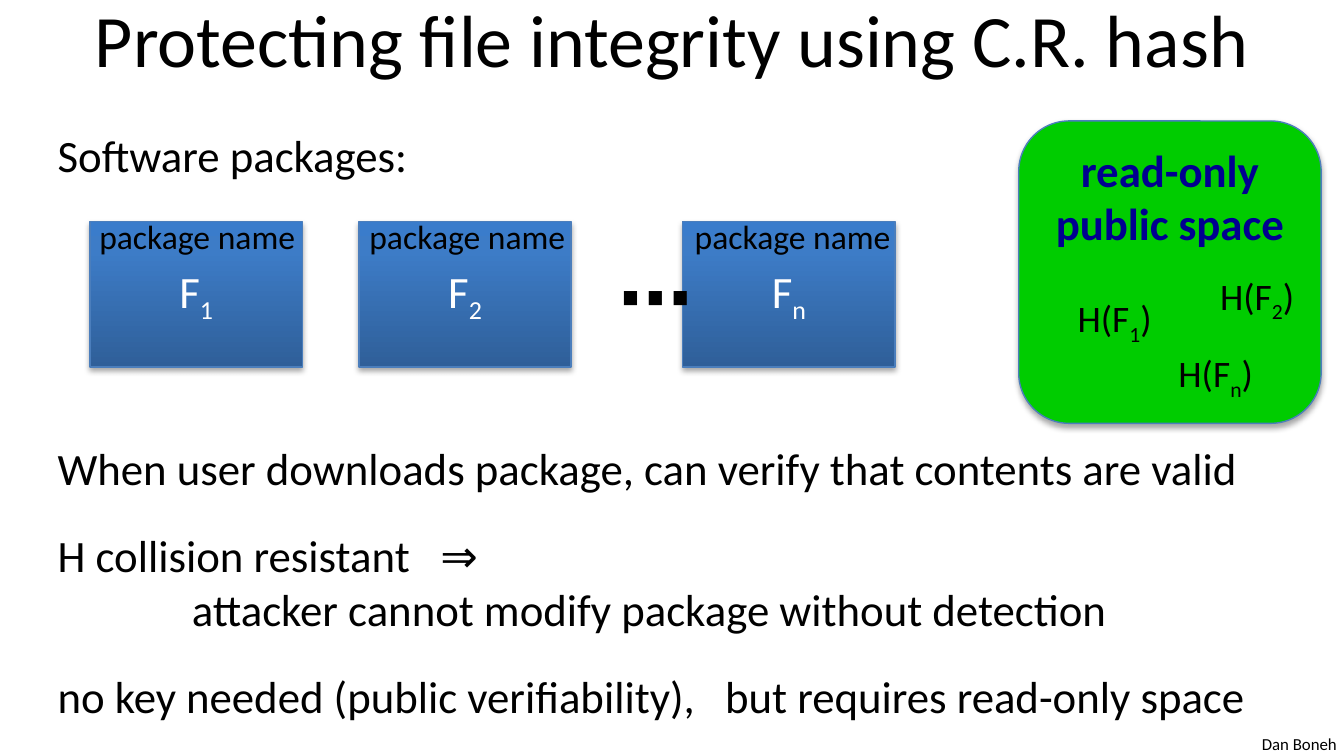
from lxml import etree
from pptx import Presentation
from pptx.dml import color
from pptx.enum import shapes, text
from pptx.oxml import ns
from pptx.util import Inches, Pt

FONT = "Calibri"
BLACK, WHITE, NAVY, GREEN, OUTLINE = "000000", "FFFFFF", "000090", "00CC00", "4B7EBC"
GRADIENT = [(0, "2F5F99"), (80, "3D7CC7"), (100, "3A7CCB")]


def rgb(value):
    return color.RGBColor.from_string(value)


def add_child(parent, tag, **attributes):
    child = etree.SubElement(parent, ns.qn(tag))
    for name, value in attributes.items():
        child.set(name, str(value))
    return child


def add_run(paragraph, content, size, ink, bold, subscript=False):
    if not content:
        return
    run = paragraph.add_run()
    run.text = content
    font = run.font
    font.name, font.size, font.bold = FONT, Pt(size), bold
    font.color.rgb = rgb(ink)
    if subscript:
        font._element.set("baseline", "-25000")


def write(paragraph, content, size=24, ink=BLACK, bold=False, align=None, before=0):
    paragraph.alignment = align
    paragraph.space_before = Pt(before)
    if "\t" in content:
        tabs = add_child(paragraph._p.get_or_add_pPr(), "a:tabLst")
        add_child(tabs, "a:tab", pos=Inches(1), algn="l")
    for number, line in enumerate(content.split("\n")):
        if number:
            paragraph.add_line_break()
        plain, *parts = line.split("_")
        add_run(paragraph, plain, size, ink, bold)
        for part in parts:
            add_run(paragraph, part[0], size, ink, bold, subscript=True)
            add_run(paragraph, part[1:], size, ink, bold)


def add_frame(parent, left, top, width, height):
    box = parent.add_textbox(Inches(left), Inches(top), Inches(width), Inches(height))
    box.text_frame.word_wrap = True
    return box.text_frame


def add_label(parent, content, left, top, width, height, **style):
    frame = add_frame(parent, left, top, width, height)
    frame.word_wrap = False
    frame.auto_size = text.MSO_AUTO_SIZE.SHAPE_TO_FIT_TEXT
    write(frame.paragraphs[0], content, **style)


def add_box(parent, kind, content, left, top, width, height, anchor, **style):
    shape = parent.add_shape(kind, Inches(left), Inches(top), Inches(width), Inches(height))
    shape.line.color.rgb = rgb(OUTLINE)
    shape.line.width = Pt(0.75)
    shape.shadow.inherit = False
    effects = shape._element.spPr.find(ns.qn("a:effectLst"))
    shadow = add_child(effects, "a:outerShdw", blurRad=Pt(3.1), dist=Pt(1.8),
                       dir=5400000, rotWithShape=0)
    add_child(add_child(shadow, "a:srgbClr", val=BLACK), "a:alpha", val=35000)
    shape.text_frame.vertical_anchor = anchor
    write(shape.text_frame.paragraphs[0], content, align=text.PP_ALIGN.CENTER, **style)
    return shape


def fill_gradient(shape):
    shape.fill.gradient()
    shape.fill.gradient_angle = 90
    stops = shape._element.spPr.find(ns.qn("a:gradFill")).find(ns.qn("a:gsLst"))
    for stop in list(stops):
        stops.remove(stop)
    for position, value in GRADIENT:
        add_child(add_child(stops, "a:gs", pos=position * 1000), "a:srgbClr", val=value)


def add_packages(parent):
    packages = [("F_1", 0.67, 0.64), ("F_2", 2.67, 2.65), ("F_n", 5.08, 5.07)]
    for name, left, _ in packages:
        fill_gradient(add_box(parent, shapes.MSO_SHAPE.RECTANGLE, name, left, 1.65, 1.58, 1.08,
                              text.MSO_ANCHOR.MIDDLE, ink=WHITE))
    add_label(parent, "⋯", 4.5, 1.81, 0.48, 0.77, size=40, bold=True)
    for _, _, label_left in packages:
        add_label(parent, "package name", label_left, 1.56, 1.68, 0.4, size=18)


def add_public_space(parent):
    group = parent.add_group_shape().shapes
    space = add_box(group, shapes.MSO_SHAPE.ROUNDED_RECTANGLE, "read-only\npublic space",
                    7.58, 0.9, 2.25, 2.25, text.MSO_ANCHOR.TOP, ink=NAVY, bold=True)
    space.fill.solid()
    space.fill.fore_color.rgb = rgb(GREEN)
    for digest, left, top in [("H(F_1)", 7.92, 2.15), ("H(F_2)", 8.98, 1.98), ("H(F_n)", 8.67, 2.56)]:
        add_label(group, digest, left, top, 0.77, 0.44, size=20)


def add_conclusions(parent):
    frame = add_frame(parent, 0.33, 3.23, 9.25, 2.4)
    conclusions = [
        ("When user downloads package, can verify that contents are valid", 0),
        ("H collision resistant   ⇒", 17.8),
        ("\tattacker cannot modify package without detection", 0),
        ("no key needed (public verifiability),   but requires read-only space", 17.8),
    ]
    for number, (content, before) in enumerate(conclusions):
        paragraph = frame.add_paragraph() if number else frame.paragraphs[0]
        write(paragraph, content, before=before)


def main():
    presentation = Presentation()
    presentation.slide_width = Inches(10)
    presentation.slide_height = presentation.slide_width * 9 // 16
    slide = presentation.slides.add_slide(presentation.slide_layouts[6])
    parent = slide.shapes

    add_label(parent, "Dan Boneh", 9.29, 5.41, 0.76, 0.25, size=9)
    title = add_frame(parent, 0.5, -0.19, 9, 0.94)
    title.vertical_anchor = text.MSO_ANCHOR.MIDDLE
    write(title.paragraphs[0], "Protecting file integrity using C.R. hash",
          size=39.6, align=text.PP_ALIGN.CENTER)
    add_conclusions(parent)
    add_packages(parent)
    add_public_space(parent)
    add_label(parent, "Software packages:", 0.33, 0.9, 2.85, 0.5)

    presentation.save("out.pptx")


if __name__ == "__main__":
    main()
